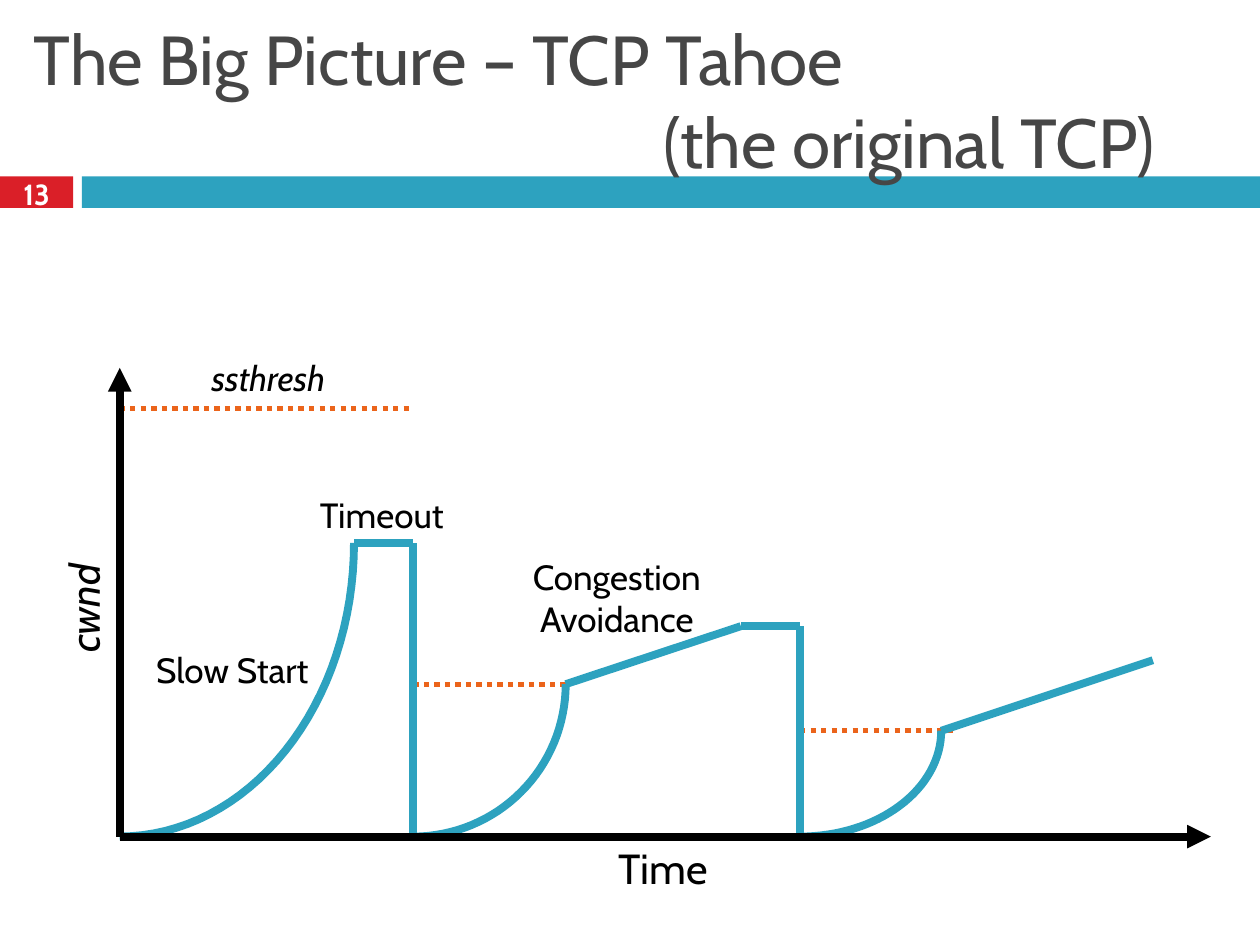
import math

from lxml import etree
from pptx import Presentation
from pptx.dml.color import RGBColor
from pptx.enum import dml, shapes, text
from pptx.oxml.ns import qn
from pptx.util import Inches, Pt

FONT = "Cabin"
TEAL = RGBColor(0x2D, 0xA2, 0xBF)
RED = RGBColor(0xDA, 0x1F, 0x28)
ORANGE = RGBColor(0xEB, 0x64, 0x1B)
GREY = RGBColor(0x46, 0x46, 0x46)
BLACK = RGBColor(0, 0, 0)
WHITE = RGBColor(255, 255, 255)
LEFT, CENTER = text.PP_ALIGN.LEFT, text.PP_ALIGN.CENTER


def add_text(slide, box, lines, size, color=BLACK, bold=False, italic=False,
             alignments=(LEFT,), wrap=False, anchor=text.MSO_ANCHOR.TOP):
    shape = slide.shapes.add_textbox(*map(Inches, box))
    frame = shape.text_frame
    frame.word_wrap = wrap
    frame.vertical_anchor = anchor
    frame.text = "\n".join(lines)
    for paragraph, alignment in zip(frame.paragraphs, alignments):
        paragraph.alignment = alignment
        font = paragraph.font
        font.name, font.size, font.color.rgb = FONT, Pt(size), color
        font.bold, font.italic = bold, italic
    return shape


def add_line(slide, start, end, color=TEAL, width=4.5, dotted=False, arrow=False):
    connector = slide.shapes.add_connector(
        shapes.MSO_CONNECTOR.STRAIGHT, *map(Inches, (*start, *end)))
    connector.line.color.rgb = color
    connector.line.width = Pt(width)
    if dotted:
        connector.line.dash_style = dml.MSO_LINE.ROUND_DOT
    properties = connector._element.spPr
    if arrow:
        etree.SubElement(properties.find(qn("a:ln")), qn("a:tailEnd"), type="triangle")
    etree.SubElement(properties, qn("a:effectLst"))


def add_growth_curve(slide, left, top, width, height, steps=32):
    angles = [math.pi / 2 * step / steps for step in range(steps + 1)]
    points = [(Inches(left + width * math.cos(angle)),
               Inches(top + height * math.sin(angle))) for angle in angles]
    builder = slide.shapes.build_freeform(*points[0])
    builder.add_line_segments(points[1:], close=False)
    curve = builder.convert_to_shape()
    curve.shadow.inherit = False
    curve.fill.background()
    curve.line.color.rgb = TEAL
    curve.line.width = Pt(4.5)


def add_bar(slide, box, color):
    bar = slide.shapes.add_shape(shapes.MSO_SHAPE.RECTANGLE, *map(Inches, box))
    bar.shadow.inherit = False
    bar.fill.solid()
    bar.fill.fore_color.rgb = color
    bar.line.fill.background()


def add_header(slide, left, top, width, height):
    bar_top, bar_height = top + height - 0.25, 0.25
    number_width, band_offset = 0.58, 0.65
    add_bar(slide, (left, bar_top, number_width, bar_height), RED)
    add_bar(slide, (left + band_offset, bar_top, width - band_offset, bar_height), TEAL)
    title = add_text(slide, (left + 0.17, top + 0.25, 9.67, 1.08),
                     ["The Big Picture – TCP Tahoe", "(the original TCP)"], 39.6, GREY,
                     alignments=(LEFT, LEFT), wrap=True, anchor=text.MSO_ANCHOR.MIDDLE)
    subtitle = title.text_frame.paragraphs[1]._p.get_or_add_pPr()
    subtitle.set("marL", str(Inches(5)))
    subtitle.set("indent", "0")
    number = add_text(slide, (left, bar_top - 0.03, number_width, 0.33), ["13"], 16.6,
                      WHITE, bold=True, alignments=(CENTER,), wrap=True,
                      anchor=text.MSO_ANCHOR.MIDDLE)
    frame = number.text_frame
    frame.margin_left = frame.margin_right = frame.margin_top = frame.margin_bottom = 0


def add_window_chart(slide, left, top, width, height):
    base = top + height

    def at(x, y):
        return left + x, base - y

    thresholds = [(0, 2.33, 3.4), (2.33, 3.54, 1.21), (5.4, 6.61, 0.84)]
    for start, end, level in thresholds:
        add_line(slide, at(start, level), at(end, level), ORANGE, 3, dotted=True)

    for start, run, rise in [(0, 1.86, 2.33), (2.33, 1.21, 1.21), (5.4, 1.12, 0.84)]:
        add_growth_curve(slide, *at(start, rise), run, rise)

    window_paths = [
        [(1.86, 2.33), (2.33, 2.33), (2.33, 0)],
        [(3.54, 1.21), (4.93, 1.67), (5.4, 1.67), (5.4, 0)],
        [(6.52, 0.84), (8.2, 1.4)],
    ]
    for path in window_paths:
        for start, end in zip(path, path[1:]):
            add_line(slide, at(*start), at(*end))

    for tip in [(0, height), (width, 0)]:
        add_line(slide, at(0, 0), at(*tip), BLACK, arrow=True)

    add_text(slide, (*at(3.86, 0), 0.94, 0.51), ["Time"], 24)
    window_label = add_text(slide, (*at(-0.78, 2.11), 0.99, 0.51), ["cwnd"], 24, italic=True)
    window_label.rotation = 270
    add_text(slide, (*at(1.49, 2.77), 1.21, 0.44), ["Timeout"], 20)
    add_text(slide, (*at(0.19, 1.54), 1.48, 0.44), ["Slow Start"], 20)
    add_text(slide, (*at(3.18, 2.28), 1.62, 0.77), ["Congestion", "Avoidance"], 20,
             alignments=(LEFT, CENTER))
    add_text(slide, (*at(0.55, 3.86), 1.26, 0.44), ["ssthresh"], 20, italic=True,
             alignments=(CENTER,))


def main():
    presentation = Presentation()
    presentation.slide_width = Inches(10)
    presentation.slide_height = Inches(7.5)
    slide = presentation.slides.add_slide(presentation.slide_layouts[6])
    add_header(slide, 0, 0, 10, 1.65)
    add_window_chart(slide, 0.95, 2.92, 8.66, 3.72)
    presentation.save("out.pptx")


if __name__ == "__main__":
    main()
